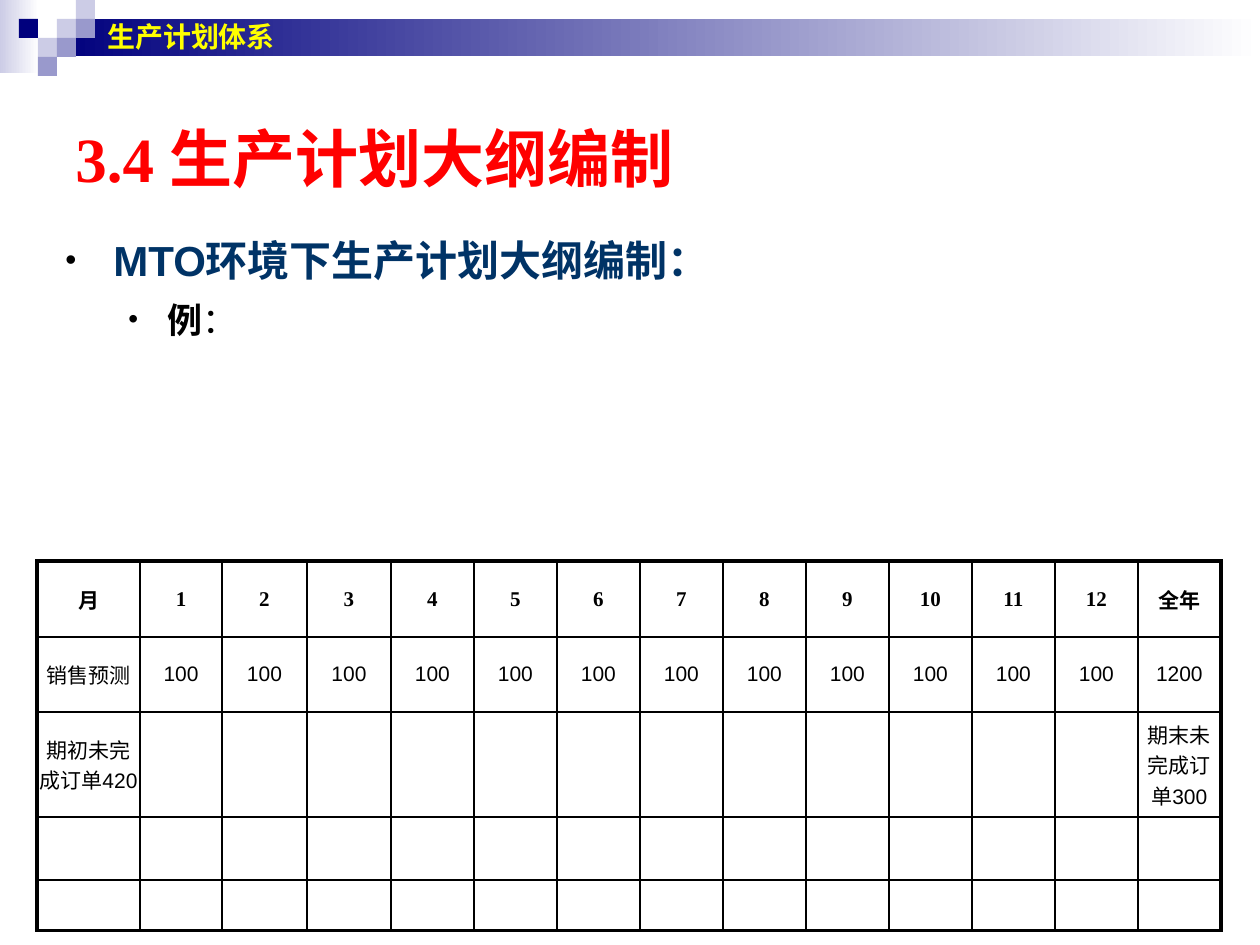
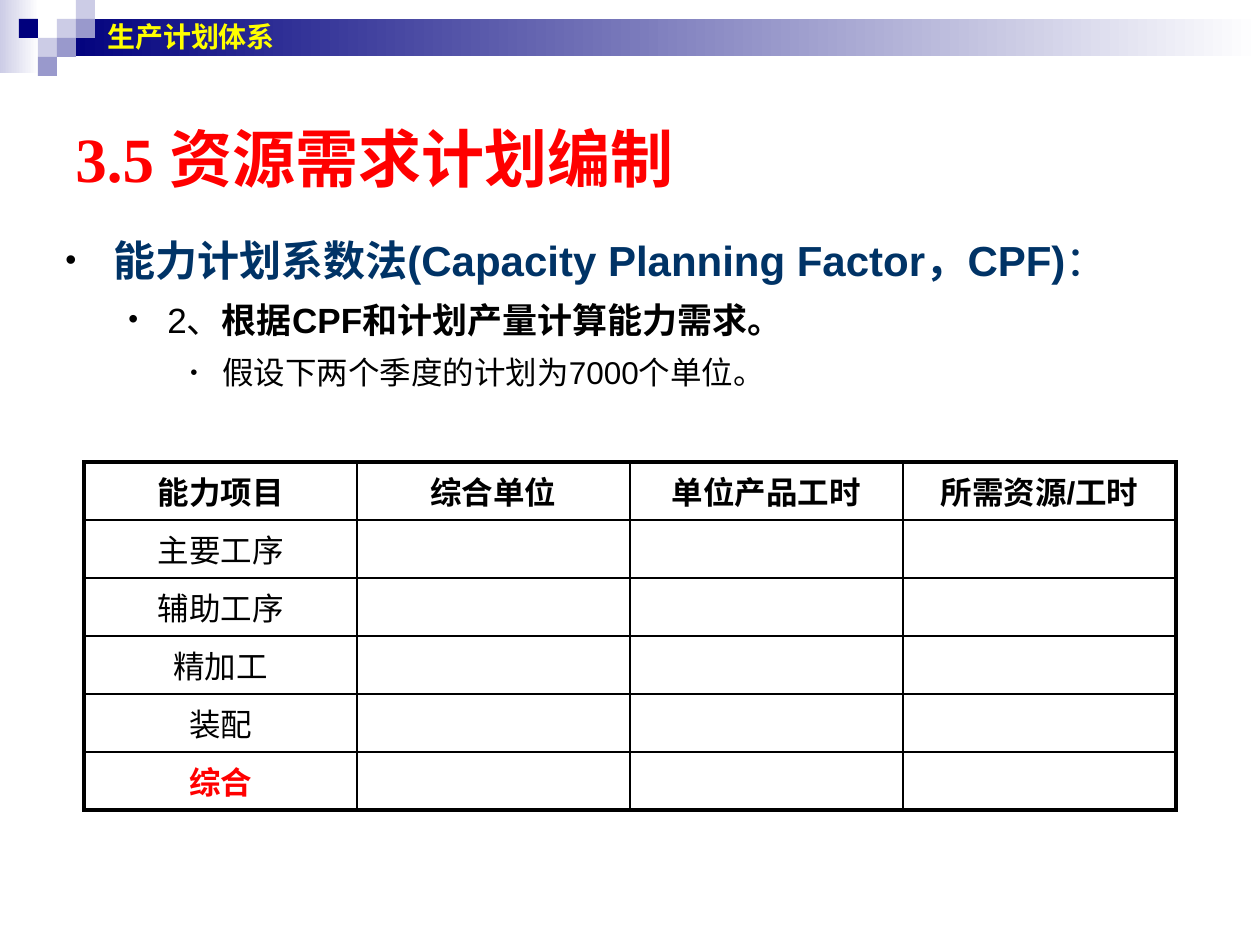
import pptx
import pptx.dml.color
import pptx.enum.lang
import pptx.enum.shapes
import pptx.enum.text
import pptx.oxml
import pptx.oxml.ns
import pptx.util

RGBColor = pptx.dml.color.RGBColor
MIDDLE = pptx.enum.text.MSO_ANCHOR.MIDDLE

NAVY = RGBColor(0x00, 0x00, 0x7D)
VIOLET = RGBColor(0x99, 0x99, 0xCC)
LAVENDER = RGBColor(0xCC, 0xCC, 0xE6)
WHITE = RGBColor(0xFF, 0xFF, 0xFF)
BLACK = RGBColor(0x00, 0x00, 0x00)
RED = RGBColor(0xFF, 0x00, 0x00)
YELLOW = RGBColor(0xFF, 0xFF, 0x00)
HEADING_BLUE = RGBColor(0x00, 0x33, 0x66)

SANS = "Arial"
SERIF = "Times New Roman"
PIXELS_PER_INCH = 126
TILE = 19
# column, row and colour on the tile grid
TILES = [
    (3, 1, LAVENDER), (4, 0, LAVENDER), (4, 1, VIOLET), (2, 2, LAVENDER),
    (1, 1, NAVY), (3, 2, VIOLET), (2, 3, VIOLET),
]
# left indent, hanging indent, bullet percent, text size, space before
LEVELS = [(48, 48, 75, 24, 0), (102, 39, 80, 20, 3.2), (157, 32, 65, 18, 2.9)]
THIN, THICK = 1, 2.25


def px(length):
    return pptx.util.Emu(round(length * 914400 / PIXELS_PER_INCH))


def write_text(paragraph, text, size=18, color=BLACK, font=SANS, bold=False):
    """Add one formatted run to a paragraph."""
    run = paragraph.add_run()
    run.text = text
    run.font.name = font
    run.font.size = pptx.util.Pt(size)
    run.font.bold = bold
    run.font.color.rgb = color
    run.font.language_id = pptx.enum.lang.MSO_LANGUAGE_ID.SIMPLIFIED_CHINESE


def add_rectangle(slide, left, top, width, height, color, fade=False):
    """Add a plain rectangle; fade runs its colour into white on the right."""
    shape = slide.shapes.add_shape(
        pptx.enum.shapes.MSO_SHAPE.RECTANGLE,
        px(left), px(top), px(width), px(height))
    shape.shadow.inherit = False
    shape.line.fill.background()
    if fade:
        shape.fill.gradient()
        shape.fill.gradient_angle = 0
        for stop, stop_color in zip(shape.fill.gradient_stops, (color, WHITE)):
            stop.color.rgb = stop_color
    else:
        shape.fill.solid()
        shape.fill.fore_color.rgb = color


def add_text_frame(slide, left, top, width, height, anchor=MIDDLE):
    box = slide.shapes.add_textbox(px(left), px(top), px(width), px(height))
    frame = box.text_frame
    frame.word_wrap = True
    frame.vertical_anchor = anchor
    return frame


def add_bullet(paragraph, level):
    indent, hanging, percent, size, space_before = LEVELS[level]
    properties = paragraph._p.get_or_add_pPr()
    properties.set("marL", str(px(indent)))
    properties.set("indent", str(-px(hanging)))
    namespace = pptx.oxml.ns.nsdecls("a")
    for element in (
        f'<a:buClr {namespace}><a:srgbClr val="{BLACK}"/></a:buClr>',
        f'<a:buSzPct {namespace} val="{percent * 1000}"/>',
        f'<a:buFont {namespace} typeface="{SANS}"/>',
        f'<a:buChar {namespace} char="•"/>',
    ):
        properties.append(pptx.oxml.parse_xml(element))
    paragraph.level = level
    paragraph.line_spacing = 1.2
    paragraph.space_before = pptx.util.Pt(space_before)


def add_outline(slide, items):
    """Each item is a level and its (text, bold) pieces."""
    frame = add_text_frame(slide, 53, 210, 1176, 703,
                           pptx.enum.text.MSO_ANCHOR.TOP)
    frame.margin_top = px(14)
    for index, (level, pieces) in enumerate(items):
        paragraph = frame.paragraphs[0] if index == 0 else frame.add_paragraph()
        add_bullet(paragraph, level)
        for text, bold in pieces:
            write_text(paragraph, text, size=LEVELS[level][3], bold=bold,
                       color=BLACK if level else HEADING_BLUE)


def set_borders(cell, **widths):
    properties = cell._tc.get_or_add_tcPr()
    namespace = pptx.oxml.ns.nsdecls("a")
    for side in "LRTB":
        width = pptx.util.Pt(widths[side])
        properties.append(pptx.oxml.parse_xml(
            f'<a:ln{side} {namespace} w="{width}"><a:solidFill>'
            f'<a:srgbClr val="{BLACK}"/></a:solidFill></a:ln{side}>'))


def add_grid(slide, left, top, widths, heights, rows, style):
    """Add a ruled table; style(row, column) gives the text format of a cell."""
    table = slide.shapes.add_table(
        len(heights), len(widths), px(left), px(top),
        px(sum(widths)), px(sum(heights))).table
    table.first_row = table.horz_banding = False
    for column, width in zip(table.columns, widths):
        column.width = px(width)
    last_row, last_column = len(heights) - 1, len(widths) - 1
    for row, height in enumerate(heights):
        table.rows[row].height = px(height)
        for column in range(len(widths)):
            cell = table.cell(row, column)
            cell.margin_left = cell.margin_right = 0
            cell.vertical_anchor = MIDDLE
            set_borders(cell,
                        L=THIN if column else THICK,
                        R=THICK if column == last_column else THIN,
                        T=THIN if row else THICK,
                        B=THICK if row == last_row else THIN)
            cell.fill.background()
            text = rows[row][column] if column < len(rows[row]) else ""
            if text:
                paragraph = cell.text_frame.paragraphs[0]
                paragraph.alignment = pptx.enum.text.PP_ALIGN.CENTER
                write_text(paragraph, text, **style(row, column))


def add_base_slide(presentation, title):
    """Add a slide with the band, the tiles, the course name and a title."""
    slide = presentation.slides.add_slide(presentation.slide_layouts[6])
    add_rectangle(slide, 0, 0, 39, 73, LAVENDER, fade=True)
    add_rectangle(slide, 57, 19, 1203, 37, NAVY, fade=True)
    for column, row, color in TILES:
        add_rectangle(slide, column * TILE, row * TILE, TILE, TILE, color)
    write_text(add_text_frame(slide, 63, 63, 1134, 189).paragraphs[0], title,
               size=36, color=RED, font=SERIF, bold=True)
    write_text(add_text_frame(slide, 95, 0, 1113, 73).paragraphs[0],
               "生产计划体系", size=16, color=YELLOW, bold=True)
    return slide


def forecast_style(row, column):
    return dict(size=12, font=SANS if row else SERIF, bold=row == 0)


def capacity_style(row, column):
    return dict(size=18, color=RED if row == 5 else BLACK, bold=row in (0, 5))


def add_outline_slide(presentation):
    slide = add_base_slide(presentation, "3.4 生产计划大纲编制")
    add_outline(slide, [
        (0, [("MTO环境下生产计划大纲编制：", True)]),
        (1, [("例", True), ("：", False)]),
    ])
    rows = [
        ["月", *map(str, range(1, 13)), "全年"],
        ["销售预测", *["100"] * 12, "1200"],
        ["期初未完成订单420", *[""] * 12, "期末未完成订单300"],
        [], [],
    ]
    add_grid(slide, 37, 561, [103, 82, 85, 84] + [83] * 10,
             [76, 75, 105, 63, 50], rows, forecast_style)


def add_capacity_slide(presentation):
    slide = add_base_slide(presentation, "3.5 资源需求计划编制")
    add_outline(slide, [
        (0, [("能力计划系数法(Capacity Planning Factor，CPF)", True),
             ("：", False)]),
        (1, [("2、", False), ("根据CPF和计划产量计算能力需求。", True)]),
        (2, [("假设下两个季度的计划为7000个单位。", False)]),
    ])
    rows = [["能力项目", "综合单位", "单位产品工时", "所需资源/工时"]]
    rows += [[item] for item in ("主要工序", "辅助工序", "精加工", "装配", "综合")]
    add_grid(slide, 84, 462, [273] * 4, [58] * 6, rows, capacity_style)


def main():
    presentation = pptx.Presentation()
    presentation.slide_width = px(1260)
    presentation.slide_height = px(945)
    add_outline_slide(presentation)
    add_capacity_slide(presentation)
    presentation.save("out.pptx")


if __name__ == "__main__":
    main()
